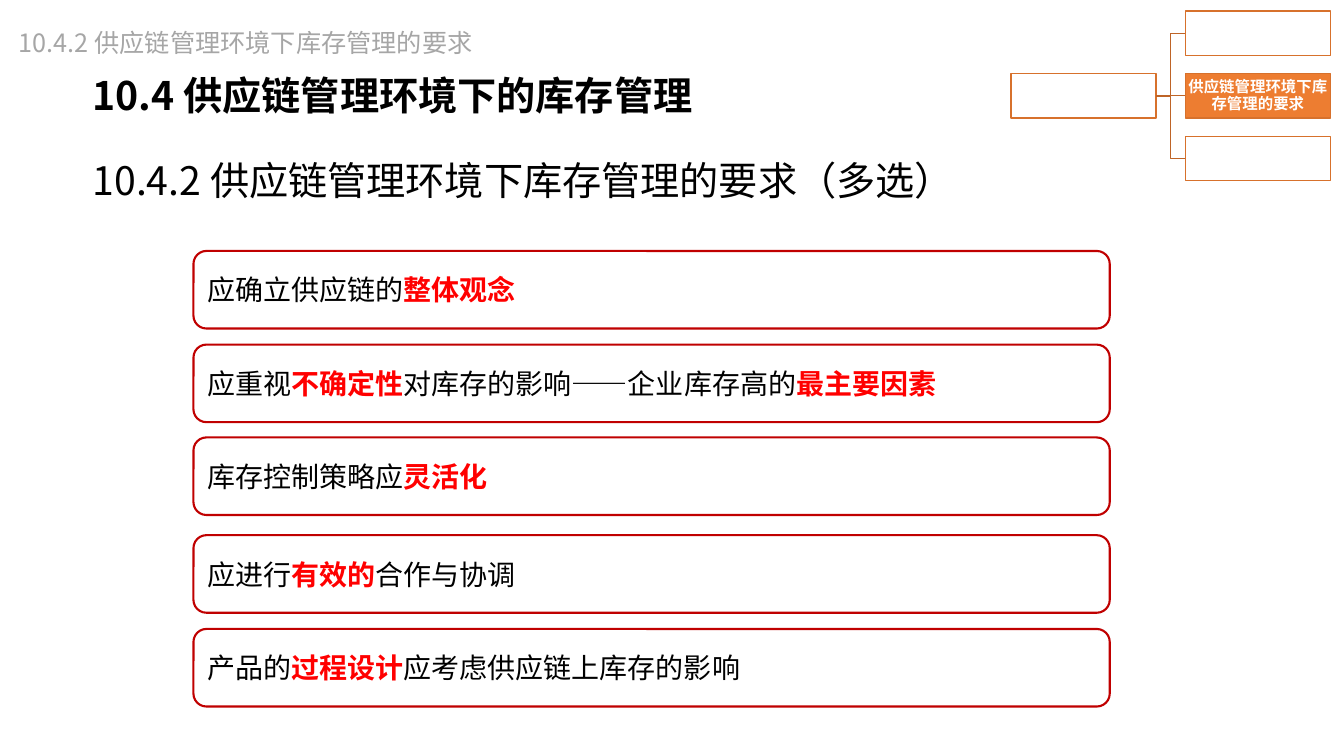
from lxml.etree import SubElement
from pptx import Presentation
from pptx.dml.color import RGBColor
from pptx.enum.shapes import MSO_CONNECTOR as Link, MSO_SHAPE as Shape
from pptx.enum.text import MSO_ANCHOR as Anchor, PP_ALIGN as Align
from pptx.oxml.ns import qn
from pptx.util import Pt

COLOURS = {
    "white": "FFFFFF",
    "black": "000000",
    "grey": "A6A6A6",
    "red": "FF0000",
    "card": "C00000",
    "orange": "ED7D31",
    "node": "D7712C",
    "link": "BE6427",
}
HEADING_FONT = "Noto Sans CJK SC"
CARD_FONT = "Noto Sans CJK JP"

TOPIC = "10.4.2 供应链管理环境下库存管理的要求"
REQUIREMENTS = [
    (179.3, [("应确立供应链的", False), ("整体观念", True)]),
    (246.2, [("应重视", False), ("不确定性", True),
             ("对库存的影响——企业库存高的", False), ("最主要因素", True)]),
    (312.5, [("库存控制策略应", False), ("灵活化", True)]),
    (382.3, [("应进行", False), ("有效的", True), ("合作与协调", False)]),
    (449.3, [("产品的", False), ("过程设计", True),
             ("应考虑供应链上库存的影响", False)]),
]

NODE_WIDTH, NODE_HEIGHT = 103.7, 31.7
ROOT_LEFT, BRANCH_LEFT = 722.2, 846.7
BRANCH_TOP, BRANCH_STEP = 7.9, 44.7


def colour(name):
    return RGBColor.from_string(COLOURS[name])


def set_font(paragraph, typeface, size, ink, bold=False):
    font = paragraph.font
    font.size = Pt(size)
    font.bold = bold
    font.color.rgb = colour(ink)
    font.name = typeface
    defaults = paragraph._p.pPr.find(qn("a:defRPr"))
    SubElement(defaults, qn("a:ea"), typeface=typeface)


def set_margins(frame, across, down):
    frame.margin_left = frame.margin_right = Pt(across)
    frame.margin_top = frame.margin_bottom = Pt(down)


def add_heading(slide, text, box, size, ink="black", bold=False,
                margins=(8.6, 4.3), anchor=Anchor.TOP, align=Align.LEFT, spacing=1):
    frame = slide.shapes.add_textbox(*map(Pt, box)).text_frame
    frame.word_wrap = True
    frame.vertical_anchor = anchor
    set_margins(frame, *margins)
    paragraph = frame.paragraphs[0]
    paragraph.text = text
    paragraph.alignment = align
    paragraph.line_spacing = spacing
    set_font(paragraph, HEADING_FONT, size, ink, bold)


def add_outlined(slide, kind, box, outline, weight, fill=None):
    shape = slide.shapes.add_shape(kind, *map(Pt, box))
    shape.shadow.inherit = False
    if fill:
        shape.fill.solid()
        shape.fill.fore_color.rgb = colour(fill)
    else:
        shape.fill.background()
    shape.line.color.rgb = colour(outline)
    shape.line.width = Pt(weight)
    return shape


def add_node(slide, left, top, fill="white", text=None):
    box = (left, top, NODE_WIDTH, NODE_HEIGHT)
    node = add_outlined(slide, Shape.RECTANGLE, box, "node", 1, fill)
    if text:
        frame = node.text_frame
        frame.word_wrap = True
        frame.vertical_anchor = Anchor.MIDDLE
        set_margins(frame, 0.7, 0.7)
        paragraph = frame.paragraphs[0]
        paragraph.text = text
        paragraph.alignment = Align.CENTER
        paragraph.line_spacing = 0.9
        set_font(paragraph, HEADING_FONT, 11, "white", True)
    return node


def add_link(slide, kind, root, branch):
    link = slide.shapes.add_connector(kind, 0, 0, 0, 0)
    link.begin_connect(root, 3)
    link.end_connect(branch, 1)
    link.line.color.rgb = colour("link")
    link.line.width = Pt(1)
    SubElement(link._element.spPr, qn("a:effectLst"))


def add_topic_map(slide):
    root = add_node(slide, ROOT_LEFT, BRANCH_TOP + BRANCH_STEP)
    branches = [
        ("white", None, Link.ELBOW),
        ("orange", "供应链管理环境下库存管理的要求", Link.STRAIGHT),
        ("white", None, Link.ELBOW),
    ]
    for row, (fill, text, kind) in enumerate(branches):
        branch = add_node(slide, BRANCH_LEFT, BRANCH_TOP + row * BRANCH_STEP, fill, text)
        add_link(slide, kind, root, branch)


def add_requirement(slide, top, parts):
    box = (138.2, top, 654.5, 55.4)
    card = add_outlined(slide, Shape.ROUNDED_RECTANGLE, box, "card", 1.5)
    frame = card.text_frame
    frame.word_wrap = True
    frame.vertical_anchor = Anchor.MIDDLE
    paragraph = frame.paragraphs[0]
    paragraph.alignment = Align.LEFT
    set_font(paragraph, CARD_FONT, 20, "black")
    for text, key in parts:
        run = paragraph.add_run()
        run.text = text
        if key:
            run.font.bold = True
            run.font.color.rgb = colour("red")


def main():
    deck = Presentation()
    deck.slide_width, deck.slide_height = Pt(960), Pt(540)
    slide = deck.slides.add_slide(deck.slide_layouts[6])

    add_topic_map(slide)
    add_heading(slide, TOPIC + "（多选）", (57.6, 82.8, 875.5, 74.9), 28,
                anchor=Anchor.MIDDLE, spacing=1.5)
    add_heading(slide, "10.4 供应链管理环境下的库存管理", (57.6, 46.8, 824.4, 42.5), 28,
                bold=True)
    for top, parts in REQUIREMENTS:
        add_requirement(slide, top, parts)
    add_heading(slide, TOPIC, (6.5, 15.8, 338.4, 28.8), 18, ink="grey",
                margins=(7.2, 3.6), align=Align.JUSTIFY)

    deck.save("out.pptx")


if __name__ == "__main__":
    main()
